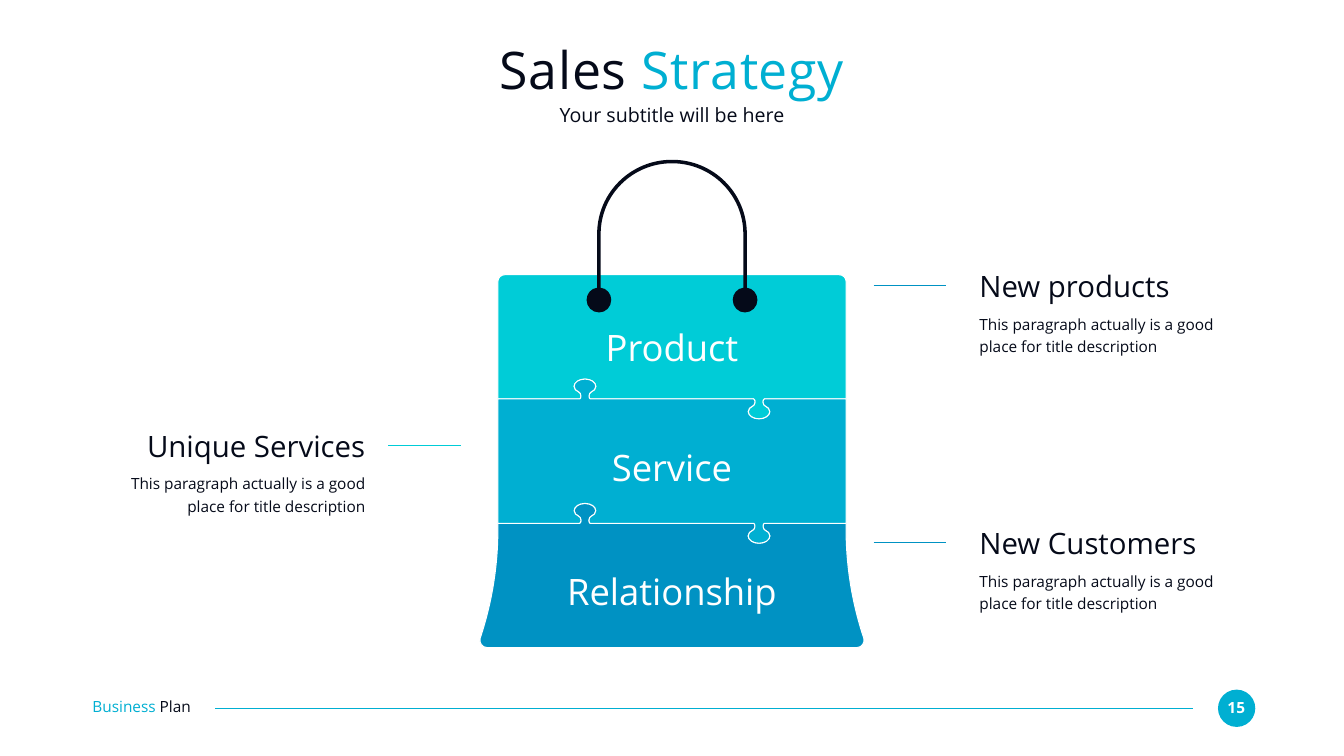
from dataclasses import dataclass
from functools import reduce
from lxml.etree import SubElement
from pptx import Presentation
from pptx.dml.color import RGBColor
from pptx.enum.shapes import MSO_CONNECTOR, MSO_SHAPE
from pptx.enum.text import MSO_ANCHOR, MSO_AUTO_SIZE, PP_ALIGN
from pptx.oxml.ns import qn
from pptx.util import Inches, Pt


@dataclass(frozen=True)
class Theme:
    font: str = "Open Sans"
    ink: str = "050A19"
    white: str = "FFFFFF"
    aqua: str = "00CCD7"
    sky: str = "00AFD2"
    blue: str = "0092C3"
    title: int = 74
    label: int = 52
    head: int = 42
    sub: int = 28
    body: int = 22
    rule: float = 1.5


THEME = Theme()
COLS, ROWS = 160, 90
MID = COLS / 2
EDGE = 11
SIDE = 20.73
TOP, BAND = 32.7, 14.8
SEAMS = [TOP + BAND * i for i in (1, 2)]
BASE = TOP + BAND * 3
NOTE = "This paragraph actually is a good place for title description"


def cell(n):
    return Inches(n / 6)


def tint(hue):
    return RGBColor.from_string(hue)


def style(frame, text, size, hues, align, bold=False):
    frame.margin_left = frame.margin_right = 0
    frame.margin_top = frame.margin_bottom = 0
    frame.word_wrap = True
    para = frame.paragraphs[0]
    para.alignment = align
    parts = [text]
    if len(hues) > 1:
        first, last = text.split(" ")
        parts = [first + " ", last]
    for part, hue in zip(parts, hues):
        run = para.add_run()
        run.text = part
        run.font.name = THEME.font
        run.font.size = Pt(size)
        run.font.bold = bold
        run.font.color.rgb = tint(hue)
    return para


def write(slide, box, text, size, hues=(THEME.ink,), align=PP_ALIGN.LEFT, bold=False):
    frame = slide.shapes.add_textbox(*map(cell, box)).text_frame
    frame.auto_size = MSO_AUTO_SIZE.SHAPE_TO_FIT_TEXT
    return style(frame, text, size, hues, align, bold)


def rule(slide, left, right, row, hue):
    line = slide.shapes.add_connector(
        MSO_CONNECTOR.STRAIGHT, cell(left), cell(row), cell(right), cell(row))
    line.line.color.rgb = tint(hue)
    line.line.width = Pt(THEME.rule)
    SubElement(line.element.spPr, qn("a:effectLst"))


def mirror(dots):
    return [(-x, y) for x, y in reversed(dots)]


def link(a, b):
    return a + b[1:] if a[-1] == b[0] else a + [b[0]] * 3 + b[1:]


def join(*parts):
    return reduce(link, parts)


def bend(outline):
    lines = outline.findall(qn("a:lnTo"))
    for i in range(0, len(lines), 3):
        for line in lines[i + 1:i + 3]:
            lines[i].append(line[0])
            outline.remove(line)
        lines[i].tag = qn("a:cubicBezTo")


def draw(slide, dots, hue, edge=None):
    spots = [(cell(MID + x), cell(y)) for x, y in dots]
    pen = slide.shapes.build_freeform(*spots[0])
    pen.add_line_segments(spots[1:], close=True)
    shape = pen.convert_to_shape()
    bend(shape.element.find(".//" + qn("a:path")))
    shape.shadow.inherit = False
    shape.fill.solid()
    shape.fill.fore_color.rgb = tint(hue)
    if edge:
        shape.line.color.rgb = tint(edge)
        shape.line.width = Pt(THEME.rule)
    else:
        shape.line.fill.background()


def seam(row):
    half = [
        (-0.63, 0), (-0.54, 0), (-0.48, -0.18), (-0.48, -0.36),
        (-0.48, -0.6), (-0.6, -0.78), (-0.75, -0.84),
        (-1.05, -0.96), (-1.29, -1.2), (-1.29, -1.5),
        (-1.29, -1.98), (-0.72, -2.37), (0, -2.37)]
    tab = join(half, mirror(half))
    knobs = [[(x + side * 10.36, row - side * y) for x, y in tab]
             for side in (-1, 1)]
    return join([(-SIDE, row)], *knobs, [(SIDE, row)])


def bag(slide):
    high, low = map(seam, SEAMS)
    lid = [(SIDE, TOP + 0.84), (SIDE, TOP + 0.36), (20.37, TOP), (19.89, TOP)]
    flare = [
        (SIDE, 63.06), (SIDE, 67.44), (21.45, 71.82), (22.83, 75.96),
        (23.01, 76.5), (22.59, BASE), (22, BASE)]
    draw(slide, join(low, flare, mirror(flare)), THEME.blue, THEME.white)
    draw(slide, join(high, lid, mirror(lid)), THEME.aqua, THEME.white)
    draw(slide, join(high, low[::-1]), THEME.sky, THEME.white)
    outer = [(0, 19.02), (4.95, 19.02), (8.91, 22.98), (8.91, 27.84)]
    ring = [
        (8.91, 34.26), (9.63, 34.32), (10.17, 34.98), (10.17, 35.7),
        (10.17, 36.54), (9.51, 37.2), (8.67, 37.2),
        (7.89, 37.2), (7.23, 36.54), (7.23, 35.7),
        (7.23, 34.98), (7.77, 34.32), (8.49, 34.26)]
    inner = [(8.49, 27.84), (8.49, 23.22), (4.71, 19.44), (0, 19.44)]
    grip = join(outer, ring, inner)
    draw(slide, join(grip, mirror(grip)), THEME.ink)
    for row, text in ((38.7, "Product"), (53, "Service"), (67.7, "Relationship")):
        write(slide, (MID - 15.8, row, 31.6, 5.3), text, THEME.label,
              (THEME.white,), PP_ALIGN.CENTER)


def callout(slide, row, text, hue, left=False):
    start, col = (46.2, EDGE) if left else (104, 116.6)
    align = PP_ALIGN.RIGHT if left else PP_ALIGN.LEFT
    rule(slide, start, start + 8.64, row, hue)
    write(slide, (col, row - 2.04, 32.5, 4.26), text, THEME.head, align=align)
    para = write(slide, (col, row + 3.06, 32.5, 5.34), NOTE, THEME.body, align=align)
    para.line_spacing = 1.2


def header(slide):
    title = slide.shapes.title
    title.left, title.top, title.width, title.height = map(
        cell, (EDGE, 4.4, COLS - 2 * EDGE, 7.6))
    frame = title.text_frame
    frame.auto_size = MSO_AUTO_SIZE.NONE
    frame.vertical_anchor = MSO_ANCHOR.MIDDLE
    para = style(frame, "Sales Strategy", THEME.title,
                 (THEME.ink, THEME.sky), PP_ALIGN.CENTER)
    for run in para.runs:
        run._r.get_or_add_rPr().set("spc", "100")
    write(slide, (EDGE, 12.2, COLS - 2 * EDGE, 2.94), "Your subtitle will be here",
          THEME.sub, align=PP_ALIGN.CENTER)


def footer(slide):
    disc = slide.shapes.add_shape(MSO_SHAPE.OVAL, *map(cell, (145, 82.1, 4.44, 4.44)))
    disc.shadow.inherit = False
    disc.fill.solid()
    disc.fill.fore_color.rgb = tint(THEME.sky)
    disc.line.fill.background()
    write(slide, (145.4, 83.1, 3.54, 2.22), "15", THEME.body,
          (THEME.white,), PP_ALIGN.CENTER, True)
    rule(slide, 25.6, 142, 84.3, THEME.sky)
    write(slide, (EDGE, 83.04, 15.54, 2.22), "Business Plan", THEME.body,
          (THEME.sky, THEME.ink))


def main():
    deck = Presentation()
    deck.slide_width, deck.slide_height = cell(COLS), cell(ROWS)
    slide = deck.slides.add_slide(deck.slide_layouts[5])
    footer(slide)
    header(slide)
    bag(slide)
    callout(slide, 53, "Unique Services", THEME.aqua, left=True)
    callout(slide, 64.6, "New Customers", THEME.blue)
    callout(slide, 34, "New products", THEME.blue)
    deck.save("out.pptx")


if __name__ == "__main__":
    main()
